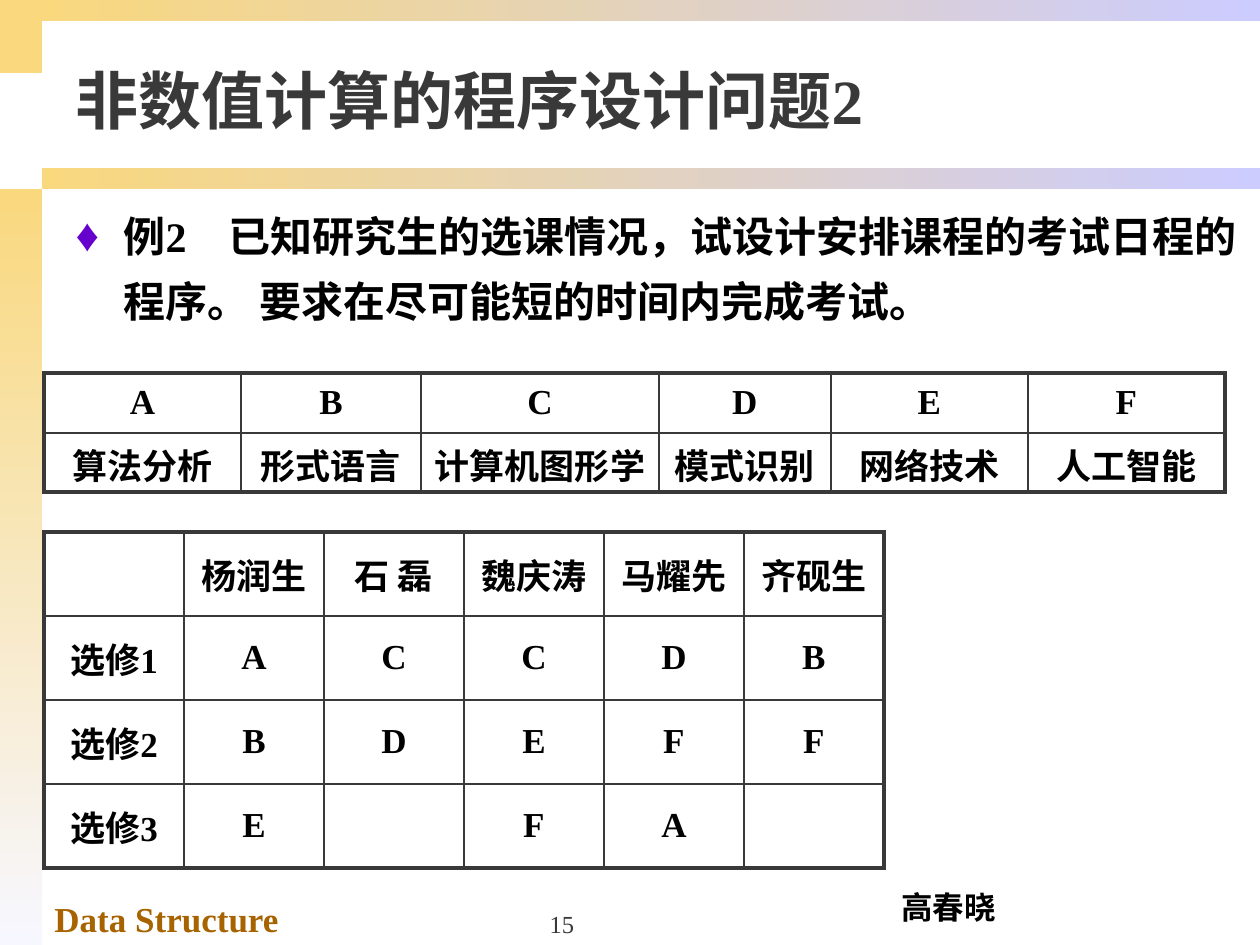
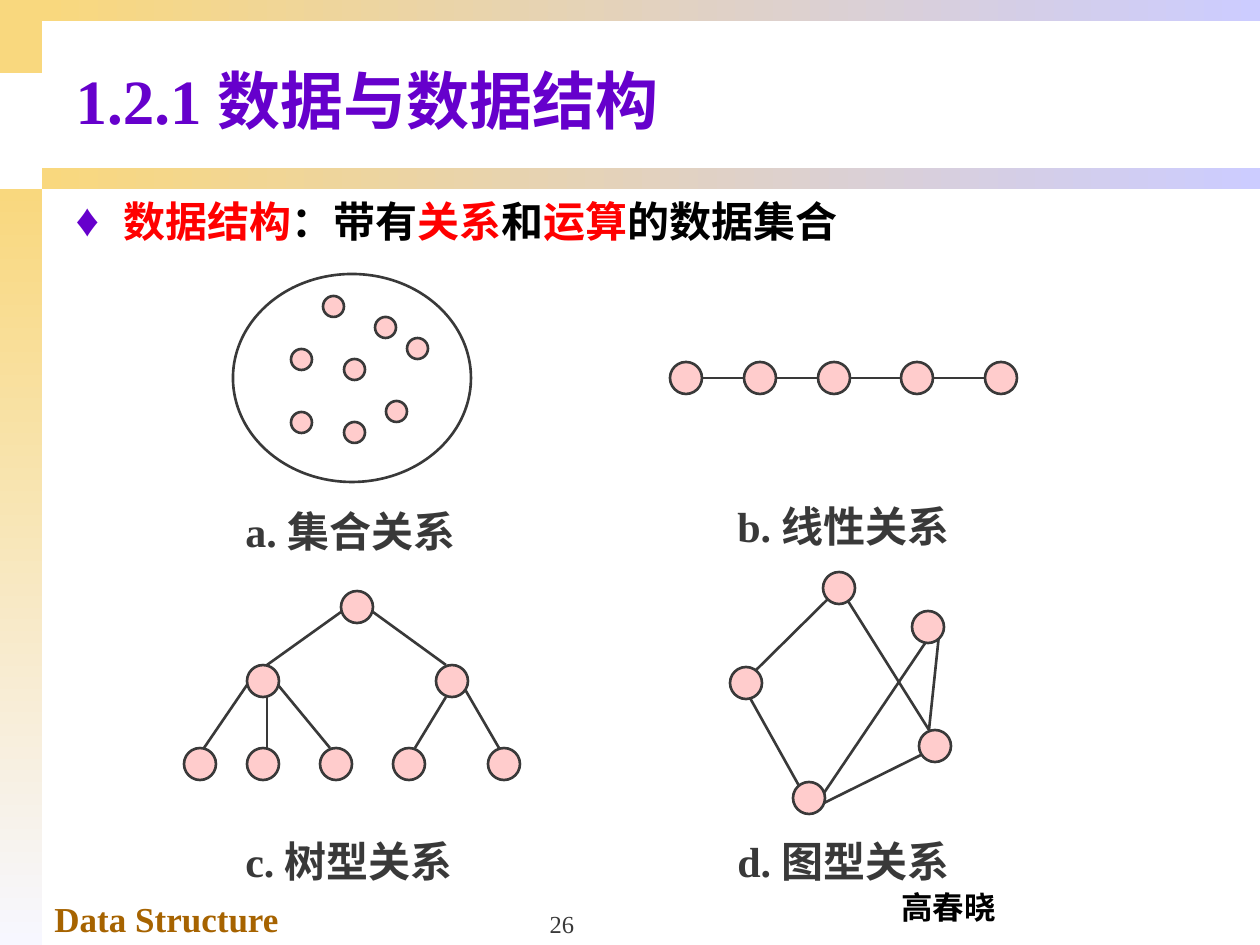
"""Build two data structure lecture slides."""
import pptx
import pptx.util
import pptx.dml.color
import pptx.enum.shapes
import pptx.enum.text
import pptx.oxml
import pptx.oxml.ns
import lxml.etree

RGB = pptx.dml.color.RGBColor
GOLD = RGB(0xF9, 0xD8, 0x7E)
PALE = RGB(0xF7, 0xF7, 0xFF)
LILAC = RGB(0xCC, 0xCC, 0xFF)
BROWN = RGB(0xA6, 0x63, 0x00)
BLACK = RGB(0x00, 0x00, 0x00)
WHITE = RGB(0xFF, 0xFF, 0xFF)
GREY = RGB(0x39, 0x39, 0x39)
PURPLE = RGB(0x66, 0x00, 0xCC)
RED = RGB(0xFF, 0x00, 0x00)
PINK = RGB(0xFF, 0xCC, 0xCC)

LATIN = "Times New Roman"
HAN = "Noto Sans CJK SC"
SCALE = 914400 / 126
SHAPE = pptx.enum.shapes.MSO_SHAPE
ALIGN = pptx.enum.text.PP_ALIGN
ANCHOR = pptx.enum.text.MSO_ANCHOR
qn = pptx.oxml.ns.qn


def px(*sizes):
    return [pptx.util.Emu(round(size * SCALE)) for size in sizes]


def add(parent, tag, **attrs):
    child = lxml.etree.SubElement(parent, qn(tag))
    for key, value in attrs.items():
        child.set(key, str(value))
    return child


class Deck:
    """Hold the style and the current slide."""

    def __init__(self):
        self.prs = pptx.Presentation()
        self.prs.slide_width, self.prs.slide_height = px(1260, 945)

    def start(self, title, number, color=GREY):
        self.slide = self.prs.slides.add_slide(self.prs.slide_layouts[1])
        self.shapes = self.slide.shapes
        self.band(0, 0, 42, 73, GOLD, GOLD)
        self.band(0, 189, 42, 756, GOLD, PALE, 270)
        for top in (168, 0):
            self.band(42, top, 1218, 21, GOLD, LILAC)
        self.text("Data Structure", 42, 891, 441, 54, 20, BROWN)
        self.text("高春晓", 888, 882, 121, 50, 18, BLACK, ALIGN.CENTER)
        page = self.text(str(number), 431, 882, 262, 63, 14, GREY, ALIGN.CENTER, False)
        page.text_frame.vertical_anchor = ANCHOR.BOTTOM
        head = self.shapes.title
        self.place(head, 63, 32, 1197, 134)
        head.text_frame.vertical_anchor = ANCHOR.MIDDLE
        self.label(head.text_frame, title, 36, color)

    def place(self, shape, *box):
        shape.left, shape.top, shape.width, shape.height = px(*box)
        shape.text_frame.auto_size = pptx.enum.text.MSO_AUTO_SIZE.NONE

    def style(self, para, size, color, bold=True):
        font = para.font
        font.size, font.bold, font.name = pptx.util.Pt(size), bold, LATIN
        font.color.rgb = color
        add(para._p.pPr.find(qn("a:defRPr")), "a:ea", typeface=HAN)

    def label(self, frame, words, size, color, align=ALIGN.LEFT, bold=True):
        para = frame.paragraphs[0]
        para.text, para.alignment = words, align
        self.style(para, size, color, bold)

    def text(self, words, x, y, w, h, size, color, align=ALIGN.LEFT, bold=True):
        box = self.shapes.add_textbox(*px(x, y, w, h))
        box.text_frame.word_wrap = True
        self.label(box.text_frame, words, size, color, align, bold)
        return box

    def band(self, x, y, w, h, first, last, angle=0):
        bar = self.shapes.add_shape(SHAPE.RECTANGLE, *px(x, y, w, h))
        bar.shadow.inherit = False
        bar.line.fill.background()
        if first == last:
            bar.fill.solid()
            bar.fill.fore_color.rgb = first
            return
        bar.fill.gradient()
        bar.fill.gradient_angle = angle
        for stop, color in zip(bar.fill.gradient_stops, (first, last)):
            stop.color.rgb = color

    def bullet(self, parts, space=1.0):
        body = self.slide.placeholders[1]
        self.place(body, 63, 189, 1196, 683)
        para = body.text_frame.paragraphs[0]
        para.line_spacing = space
        props = para._p.get_or_add_pPr()
        indent = px(48)[0]
        props.set("marL", str(indent))
        props.set("indent", str(-indent))
        add(add(props, "a:buClr"), "a:srgbClr", val=PURPLE)
        add(props, "a:buSzPct", val=110000)
        add(props, "a:buFont", typeface=LATIN)
        add(props, "a:buChar", char="♦")
        self.style(para, 24, BLACK)
        for words, color in parts:
            run = para.add_run()
            run.text = words
            if color != BLACK:
                run.font.color.rgb = color

    def border(self, cell, thick):
        props = cell._tc.get_or_add_tcPr()
        for side in "LRTB":
            width = pptx.util.Pt(2.25 if side in thick else 1)
            edge = add(props, "a:ln" + side, w=int(width))
            add(add(edge, "a:solidFill"), "a:srgbClr", val=GREY)

    def table(self, x, y, widths, heights, rows):
        frame = self.shapes.add_table(len(rows), len(widths),
                                      *px(x, y, sum(widths), sum(heights)))
        grid = frame.table
        for col, width in zip(grid.columns, px(*widths)):
            col.width = width
        for row, height in zip(grid.rows, px(*heights)):
            row.height = height
        for r, row in enumerate(rows):
            for c, words in enumerate(row):
                cell = grid.cell(r, c)
                outer = {"L": c == 0, "R": c == len(widths) - 1,
                         "T": r == 0, "B": r == len(rows) - 1}
                self.border(cell, [side for side in outer if outer[side]])
                cell.fill.solid()
                cell.fill.fore_color.rgb = WHITE
                cell.vertical_anchor = ANCHOR.MIDDLE
                if words:
                    self.label(cell.text_frame, words, 20, BLACK, ALIGN.CENTER)

    def oval(self, x, y, w, h, color=PINK):
        dot = self.shapes.add_shape(SHAPE.OVAL, *px(x, y, w, h))
        dot.shadow.inherit = False
        dot.fill.solid()
        dot.fill.fore_color.rgb = color
        dot.line.color.rgb = GREY
        dot.line.width = pptx.util.Pt(1.5)

    def edge(self, *ends):
        kind = pptx.enum.shapes.MSO_CONNECTOR.STRAIGHT
        line = self.shapes.add_connector(kind, *px(*ends))
        line.line.color.rgb = GREY
        line.line.width = pptx.util.Pt(1.5)
        add(line._element.spPr, "a:effectLst")

    def graph(self, nodes, edges=(), size=32):
        for ends in edges:
            self.edge(*ends)
        for x, y in nodes:
            self.oval(x, y, size, size)


def exam(deck):
    deck.start("非数值计算的程序设计问题2", 15)
    deck.bullet([("例2　已知研究生的选课情况，试设计安排课程的考试日程的程序。"
                  " 要求在尽可能短的时间内完成考试。", BLACK)], 1.3)
    deck.table(44, 373, [197, 180, 238, 172, 197, 197], [60, 59], [
        "ABCDEF",
        ["算法分析", "形式语言", "计算机图形学", "模式识别", "网络技术", "人工智能"]])
    deck.table(44, 532, [140] * 6, [84] * 4, [
        ["", "杨润生", "石 磊", "魏庆涛", "马耀先", "齐砚生"],
        ["选修1", "A", "C", "C", "D", "B"],
        ["选修2", "B", "D", "E", "F", "F"],
        ["选修3", "E", "", "F", "A", ""]])


def kinds(deck):
    deck.start("1.2.1 数据与数据结构", 26, PURPLE)
    deck.bullet([("数据结构", RED), ("：带有", BLACK), ("关系", RED),
                 ("和", BLACK), ("运算", RED), ("的数据集合", BLACK)])
    deck.oval(233, 274, 238, 208, WHITE)
    deck.graph([(323, 296), (291, 349), (344, 359), (407, 338),
                (386, 401), (291, 412), (375, 317), (344, 422)], size=21)
    deck.graph([(x, 362) for x in (670, 744, 818, 901, 985)],
               [(698, 378, 1013, 378)])
    deck.graph([(341, 591), (247, 665), (436, 665)]
               + [(x, 748) for x in (184, 247, 320, 393, 488)],
               [(341, 612, 267, 665), (373, 612, 446, 665),
                (247, 685, 204, 748), (267, 697, 267, 748),
                (278, 685, 330, 748), (446, 697, 415, 748),
                (459, 679, 499, 748)])
    deck.graph([(823, 572), (912, 611), (793, 782), (730, 667), (919, 730)],
               [(843, 593, 929, 730), (834, 593, 743, 683),
                (750, 698, 803, 793), (939, 635, 929, 730),
                (824, 793, 932, 633), (929, 751, 824, 803)])
    for words, x, y in (("a. 集合关系", 233, 499), ("b. 线性关系", 725, 494),
                        ("c. 树型关系", 233, 829), ("d. 图型关系", 725, 829)):
        deck.text(words, x, y, 290, 63, 24, GREY)


def main():
    deck = Deck()
    exam(deck)
    kinds(deck)
    deck.prs.save("out.pptx")


if __name__ == "__main__":
    main()
